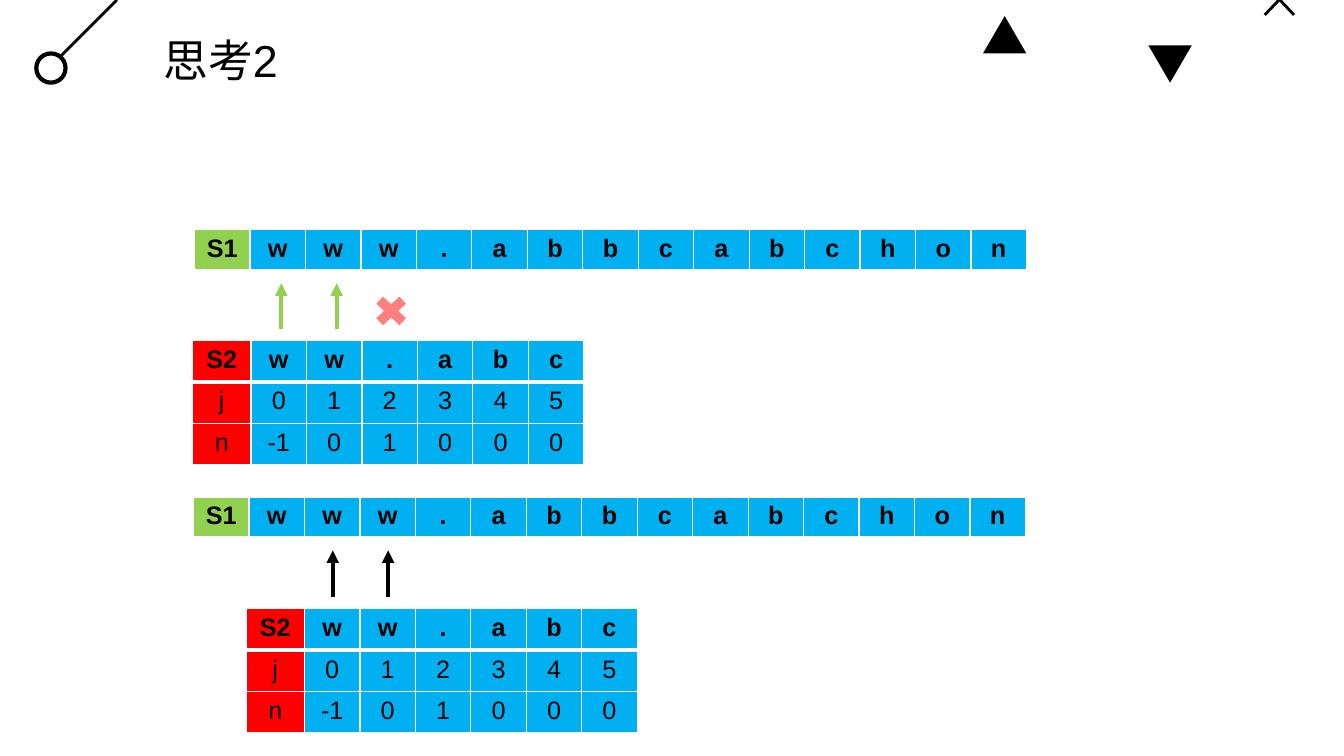
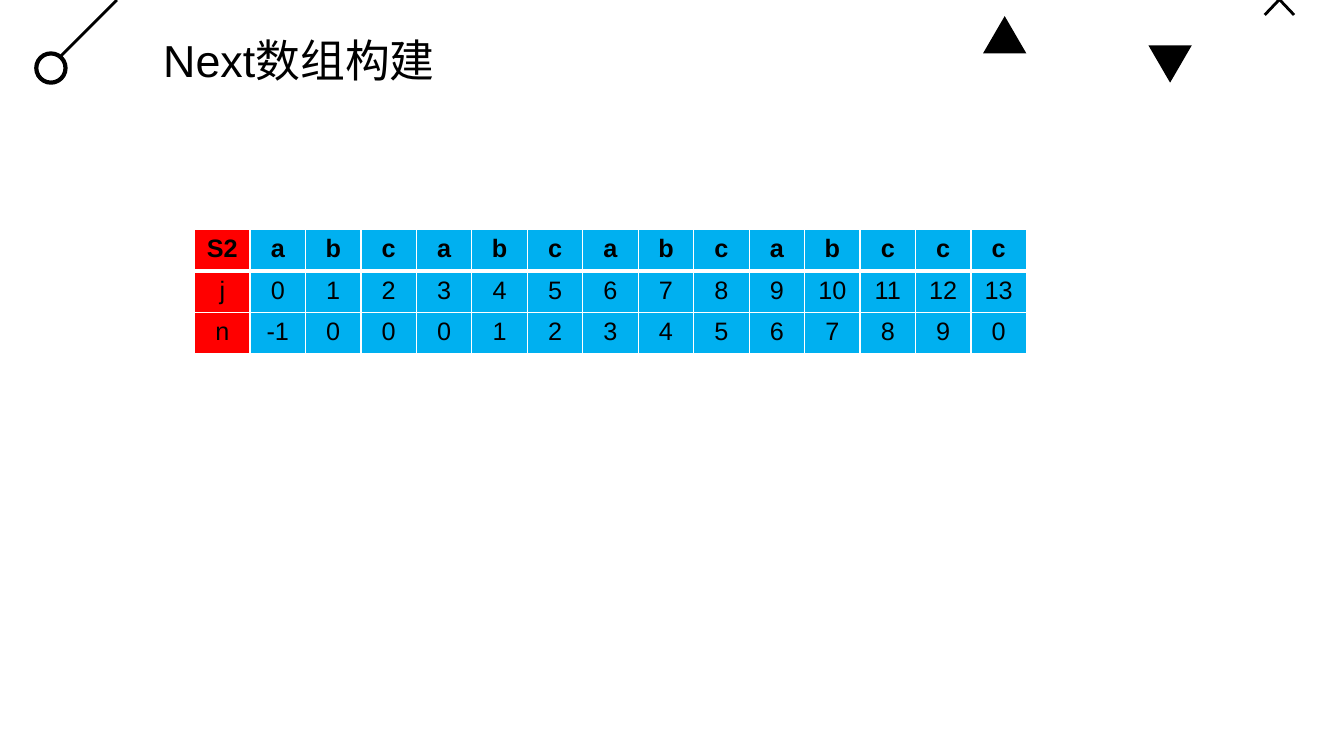
"""Two slides on KMP string matching: comparing two strings and building the next array."""
import pptx
import pptx.dml.color
import pptx.enum.shapes
import pptx.enum.text
import pptx.oxml
import pptx.oxml.ns
import pptx.util
from lxml import etree

Inches = pptx.util.Inches
Pt = pptx.util.Pt
RGBColor = pptx.dml.color.RGBColor
qn = pptx.oxml.ns.qn
SHAPE = pptx.enum.shapes.MSO_SHAPE

BLACK = RGBColor(0x00, 0x00, 0x00)
WHITE = RGBColor(0xFF, 0xFF, 0xFF)
GREEN = RGBColor(0x92, 0xD0, 0x50)
RED = RGBColor(0xFF, 0x00, 0x00)
BLUE = RGBColor(0x00, 0xB0, 0xF0)

FONT = "Arial"
CELL_WIDTH = 0.55
ROW_HEIGHT = 0.41
ARROW_GAP = 0.12
SEARCHED = ["S1", *"www.abbcabchon"]
PATTERN = [
    ["S2", *"ww.abc"],
    ["j", *range(6)],
    ["n", -1, 0, 1, 0, 0, 0],
]
NEXT_ARRAY = [
    ["S2", *"abcabcabcabccc"],
    ["j", *range(14)],
    ["n", -1, 0, 0, *range(10), 0],
]


def format_text(paragraph, size, bold=False):
    for run in paragraph.runs:
        run.font.name = FONT
        run.font.size = Pt(size)
        run.font.bold = bold
        run.font.color.rgb = BLACK


def add_figure(slide, preset, left, top, width, height, fill, outline=None):
    figure = slide.shapes.add_shape(
        preset, Inches(left), Inches(top), Inches(width), Inches(height))
    figure.shadow.inherit = False
    figure.fill.solid()
    figure.fill.fore_color.rgb = fill
    if outline is None:
        figure.line.fill.background()
    else:
        figure.line.color.rgb = outline
        figure.line.width = Pt(3)
    return figure


def add_line(slide, start, end, color, width, arrow=False):
    line = slide.shapes.add_connector(
        pptx.enum.shapes.MSO_CONNECTOR.STRAIGHT,
        *(Inches(value) for value in (*start, *end)))
    line.line.color.rgb = color
    line.line.width = Pt(width)
    properties = line.element.spPr
    if arrow:
        etree.SubElement(properties.find(qn("a:ln")), qn("a:tailEnd"), type="triangle")
    etree.SubElement(properties, qn("a:effectLst"))


def add_titled_slide(deck, title):
    slide = deck.slides.add_slide(deck.slide_layouts[6])
    add_line(slide, (0.57, 0.59), (1.16, 0), BLACK, 2)
    add_figure(slide, SHAPE.OVAL, 0.36, 0.53, 0.29, 0.29, WHITE, BLACK)
    add_figure(slide, SHAPE.ISOSCELES_TRIANGLE, 9.75, 0.16, 0.43, 0.37, BLACK)
    lower_triangle = add_figure(
        slide, SHAPE.ISOSCELES_TRIANGLE, 11.39, 0.45, 0.43, 0.37, BLACK)
    lower_triangle.rotation = 180
    corner_cross = add_figure(slide, SHAPE.MATH_MULTIPLY, 12.41, -0.3, 0.56, 0.59, BLACK)
    corner_cross.adjustments[0] = 0.05

    heading = slide.shapes.add_textbox(
        Inches(1.52), Inches(0.27), Inches(7.78), Inches(0.64)).text_frame
    heading.word_wrap = True
    heading.vertical_anchor = pptx.enum.text.MSO_ANCHOR.MIDDLE
    heading.text = title
    format_text(heading.paragraphs[0], 32)
    return slide


def set_borders(cell, top, bottom):
    properties = cell._tc.get_or_add_tcPr()
    for side, width in (("L", 1), ("R", 1), ("T", top), ("B", bottom)):
        border = etree.SubElement(properties, qn(f"a:ln{side}"), w=str(Pt(width)))
        fill = etree.SubElement(border, qn("a:solidFill"))
        etree.SubElement(fill, qn("a:srgbClr"), val=str(WHITE))


def add_string_table(slide, left, top, rows, label_color, label_width=CELL_WIDTH):
    widths = [label_width] + [CELL_WIDTH] * (len(rows[0]) - 1)
    table = slide.shapes.add_table(
        len(rows), len(widths), Inches(left), Inches(top),
        Inches(sum(widths)), Inches(ROW_HEIGHT * len(rows))).table
    table.first_row = False
    table.horz_banding = False
    for column, width in zip(table.columns, widths):
        column.width = Inches(width)
    for row_index, values in enumerate(rows):
        table.rows[row_index].height = Inches(ROW_HEIGHT)
        for column_index, value in enumerate(values):
            cell = table.cell(row_index, column_index)
            set_borders(cell, 3 if row_index == 1 else 1, 3 if row_index == 0 else 1)
            cell.fill.solid()
            cell.fill.fore_color.rgb = BLUE if column_index else label_color
            cell.text_frame.text = str(value)
            paragraph = cell.text_frame.paragraphs[0]
            paragraph.alignment = pptx.enum.text.PP_ALIGN.CENTER
            format_text(paragraph, 18, bold=row_index == 0)


def add_comparison(slide, searched_at, pattern_at, first_arrow, arrow_color):
    add_string_table(slide, *searched_at, [SEARCHED], GREEN)
    add_string_table(slide, *pattern_at, PATTERN, RED, label_width=0.58)
    arrow_start = pattern_at[1] - ARROW_GAP
    arrow_end = searched_at[1] + ROW_HEIGHT + ARROW_GAP
    for match in range(2):
        x = first_arrow + match * CELL_WIDTH
        add_line(slide, (x, arrow_start), (x, arrow_end), arrow_color, 3, arrow=True)


def add_mismatch(slide):
    cross = add_figure(slide, SHAPE.MATH_MULTIPLY, 3.66, 2.88, 0.44, 0.41, RED)
    color = cross.element.spPr.find(qn("a:solidFill")).find(qn("a:srgbClr"))
    etree.SubElement(color, qn("a:alpha"), val="50000")


def main():
    deck = pptx.Presentation()
    deck.slide_width = Inches(13.33)
    deck.slide_height = Inches(7.5)

    matching = add_titled_slide(deck, "思考2")
    add_comparison(matching, (1.93, 2.28), (1.91, 3.38), 2.79, GREEN)
    add_mismatch(matching)
    add_comparison(matching, (1.92, 4.93), (2.44, 6.04), 3.3, BLACK)

    building = add_titled_slide(deck, "Next数组构建")
    add_string_table(building, 1.93, 2.28, NEXT_ARRAY, RED)

    deck.save("out.pptx")


if __name__ == "__main__":
    main()
